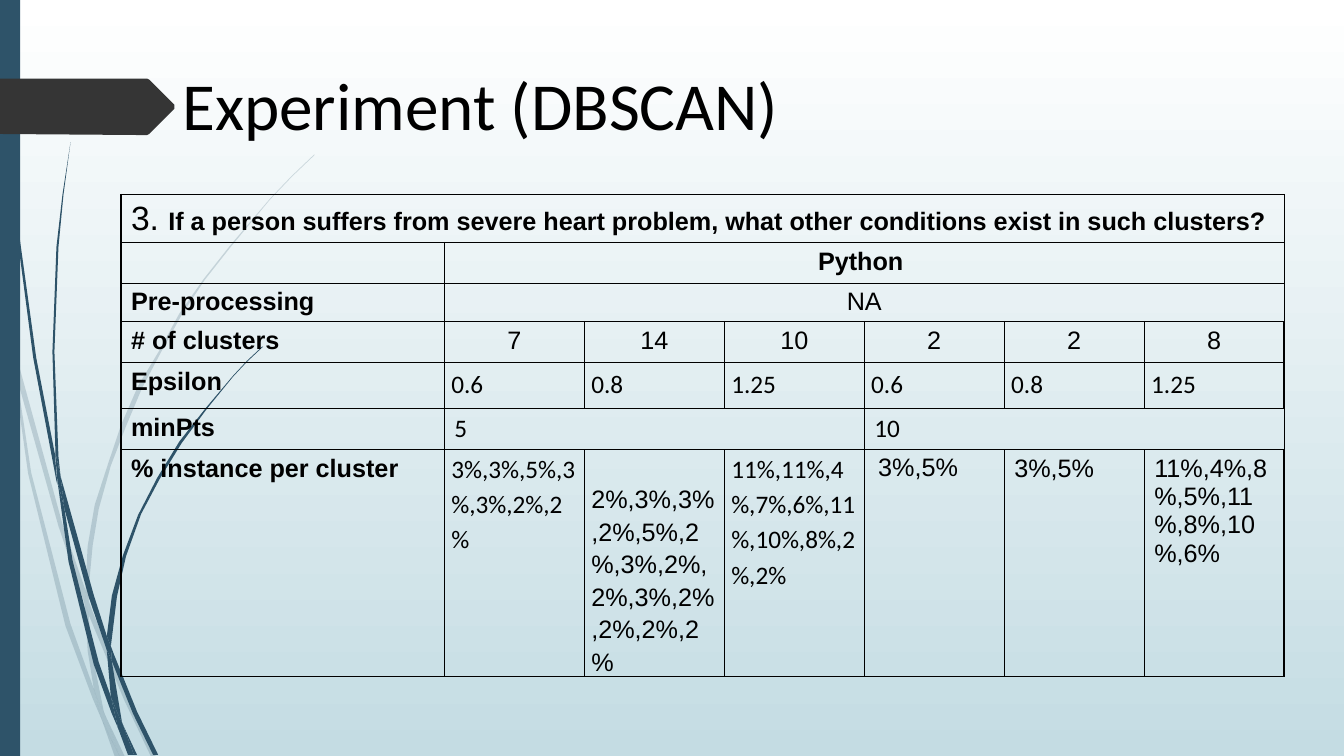
from pptx import Presentation
from pptx.dml.color import RGBColor
from pptx.enum.shapes import MSO_SHAPE
from pptx.enum.text import MSO_ANCHOR, MSO_AUTO_SIZE, PP_ALIGN
from pptx.oxml.ns import qn
from pptx.util import Pt
from lxml.etree import SubElement

COLORS = {"sky": "FFFFFF", "mist": "C4DCE3", "navy": "2E5369",
          "arrow": "353535", "ink": "000000"}
UNIT = Pt(0.72)  # outline grid step

# Outlines on the grid: pale strands behind, solid strands in front
PALE = [
    "11,350 9,322 0,282 0,299 10,344",
    "58,522 84,599 85,586 62,520 14,345 17,376",
    "92,607 88,596 88,610 123,694 150,751 155,751 127,692",
    "119,751 124,751 105,711",
    "93,683 70,619 31,469 17,376 11,350 28,470 65,621 92,693 101,714 99,707",
    "84,599 87,646 93,683 96,692 105,711 103,706 91,646 88,610 88,608",
    "88,584 92,541 98,505 110,462 125,423 141,385 160,349 180,313 203,278 229,245 "
    "268,198 290,175 312,154 312,153 289,175 268,197 228,244 202,277 178,311 "
    "158,348 137,383 120,422 107,461 94,501 87,542 85,584 85,586 88,596",
    "101,714 114,751 119,751",
    "88,608 88,610 88,596 85,586 84,599",
    "96,692 93,683 99,707 101,714 119,751 105,711",
]
SOLID = [
    "7,110 17,233 33,355 56,477 57,481 55,457 55,453 36,355 19,232 8,109 5,48 4,0 "
    "3,0 4,48",
    "88,592 106,645 106,633 106,631 93,590 60,472 64,505",
    "113,649 110,641 111,656 132,708 152,749 157,749 136,706",
    "110,691 98,657 72,556 64,505 57,477 68,557 93,659 111,708 117,722 116,717",
    "60,472 58,453 54,349 58,245 63,193 70,141 62,193 56,245 52,349 55,449",
    "133,749 136,749 122,719",
    "57,477 64,505 60,472 55,449 55,453",
    "111,633 116,592 125,552 140,510 158,476 180,440 205,406 231,374 245,359 261,344 "
    "260,344 245,358 231,373 204,405 178,438 156,474 137,511 122,551 111,591 "
    "106,631 110,641",
    "117,722 127,749 131,749",
    "106,645 110,691 116,706 122,719 121,716 111,656 109,651",
    "106,645 109,651 111,656 110,641 106,631 106,633",
    "116,706 110,691 116,717 117,722 130,749 133,749 122,719",
]
ARROW = "173,108 148,133 146,134 136,134 0,133 0,78 136,78 146,78 148,79 173,104"

# Cell looks: font, paragraph and margins (sides, top and bottom)
BOLD = {"name": "Arial", "bold": True}
PLAIN = {"name": "Arial", "bold": False}
CAL = {"name": "Calibri", "bold": False}
LEFT, MID = {"alignment": PP_ALIGN.LEFT}, {"alignment": PP_ALIGN.CENTER}
LOOSE = {**LEFT, "line_spacing": 1.15}
WIDE, EVEN, FLAT = (7.2, 3.6), (5, 5), (5, 0)
HEAD = (BOLD, LEFT, WIDE)
NUM = (PLAIN, MID, WIDE)
EPS = (CAL, LEFT, EVEN)
PTS = (CAL, LEFT, WIDE)
LIST = (PLAIN, LOOSE, FLAT)
CLIST = (CAL, LOOSE, FLAT)
TAIL = (PLAIN, LEFT, WIDE)

# Each cell: text, look, columns spanned
ROWS = [
    [("If a person suffers from severe heart problem, "
      "what other conditions exist in such clusters?", HEAD, 7)],
    [("", HEAD, 1), ("Python ", (BOLD, MID, WIDE), 6)],
    [("Pre-processing", HEAD, 1), ("NA", NUM, 6)],
    [("# of clusters", HEAD, 1)] + [(n, NUM, 1) for n in "7 14 10 2 2 8".split()],
    [("Epsilon", HEAD, 1)] + [(e, EPS, 1) for e in ("0.6", "0.8", "1.25") * 2],
    [("minPts", HEAD, 1), ("5", PTS, 3), ("10", PTS, 3)],
    [("% instance per cluster", HEAD, 1),
     ("3%,3%,5%,3%,3%,2%,2%", CLIST, 1),
     (" 2%,3%,3%,2%,5%,2%,3%,2%,2%,3%,2%,2%,2%,2%", LIST, 1),
     ("11%,11%,4%,7%,6%,11%,10%,8%,2%,2%", CLIST, 1),
     (" 3%,5%", LIST, 1), ("3%,5%", TAIL, 1),
     ("11%,4%,8%,5%,11%,8%,10%,6%", TAIL, 1)],
]
WIDTHS = [231] + [100] * 6
HEIGHTS = [33.6, 28, 27, 29.3, 33, 28.6, 141]


def rgb(key):
    return RGBColor.from_string(COLORS[key])


def put(obj, look):
    for key, val in look.items():
        setattr(obj, key, val)


class Deck:
    def __init__(self):
        self.prs = Presentation()
        put(self.prs, {"slide_width": Pt(960), "slide_height": Pt(540)})
        self.slide = self.prs.slides.add_slide(self.prs.slide_layouts[5])
        self.shapes = self.slide.shapes

    def back(self, top, end):
        fill = self.slide.background.fill
        fill.gradient()
        fill.gradient_angle = 270
        for stop, key, pos in zip(fill.gradient_stops, (top, end), (0, 1)):
            stop.color.rgb = rgb(key)
            stop.position = pos

    def paint(self, shape, key, alpha=100):
        shape.shadow.inherit = False
        shape.fill.solid()
        shape.fill.fore_color.rgb = rgb(key)
        shape.line.fill.background()
        if alpha < 100:
            tint = next(shape.element.spPr.iter(qn("a:srgbClr")))
            SubElement(tint, qn("a:alpha"), val=str(alpha * 1000))

    def free(self, text, key, alpha=100):
        dots = [tuple(map(int, dot.split(","))) for dot in text.split()]
        pen = self.shapes.build_freeform(*dots[0], scale=UNIT)
        pen.add_line_segments(dots[1:], close=True)
        self.paint(pen.convert_to_shape(), key, alpha)

    def bar(self, x, y, w, h, key):
        box = self.shapes.add_shape(MSO_SHAPE.RECTANGLE, Pt(x), Pt(y), Pt(w), Pt(h))
        self.paint(box, key)

    def run(self, para, text, look, size):
        run = para.add_run()
        run.text = text
        put(run.font, {**look, "size": Pt(size)})
        run.font.color.rgb = rgb("ink")

    def title(self, text, x, y, w, h):
        box = self.shapes.title
        put(box, {"left": Pt(x), "top": Pt(y), "width": Pt(w), "height": Pt(h)})
        frame = box.text_frame
        put(frame, {"vertical_anchor": MSO_ANCHOR.TOP, "word_wrap": True,
                    "auto_size": MSO_AUTO_SIZE.NONE})
        put(frame, {f"margin_{side}": Pt(7.2)
                    for side in ("left", "right", "top", "bottom")})
        put(frame.paragraphs[0], LEFT)
        self.run(frame.paragraphs[0], text, CAL, 48)
        self.shapes.element.append(box.element)  # bring to front

    def edge(self, cell, sides):
        props = cell._tc.get_or_add_tcPr()
        for side, width in zip("LRTB", sides):
            line = SubElement(props, qn(f"a:ln{side}"), w=str(Pt(width)))
            fill = SubElement(line, qn("a:solidFill"))
            SubElement(fill, qn("a:srgbClr"), val=COLORS["ink"])
        cell.fill.background()

    def cell(self, cell, text, look, lead=""):
        font, para, (side, end) = look
        put(cell, {"margin_left": Pt(side), "margin_right": Pt(side),
                   "margin_top": Pt(end), "margin_bottom": Pt(end)})
        line = cell.text_frame.paragraphs[0]
        put(line, para)
        if lead:
            self.run(line, lead, PLAIN, 24)
        if text:
            self.run(line, text, font, 18)

    def table(self, x, y, rows, widths, heights):
        high, wide = len(heights), len(widths)
        grid = self.shapes.add_table(high, wide, Pt(x), Pt(y), Pt(sum(widths)),
                                     Pt(sum(heights))).table
        put(grid, {"first_row": False, "horz_banding": False})
        for col, width in zip(grid.columns, widths):
            col.width = Pt(width)
        for r, row in enumerate(rows):
            grid.rows[r].height = Pt(heights[r])
            for c in range(wide):
                rims = (c == 0, c == wide - 1, r == 0, r == high - 1)
                self.edge(grid.cell(r, c), [1.25 if rim else 0.75 for rim in rims])
            c = 0
            for text, look, span in row:
                if span > 1:
                    grid.cell(r, c).merge(grid.cell(r, c + span - 1))
                self.cell(grid.cell(r, c), text, look, "" if r else "3. ")
                c += span


def main():
    deck = Deck()
    # Backdrop
    deck.back("sky", "mist")
    for group, alpha in ((PALE, 20), (SOLID, 100)):
        for strand in group:
            deck.free(strand, "navy", alpha)
    deck.bar(0, 0, 14.4, 540, "navy")
    deck.free(ARROW, "arrow")
    # Content
    deck.title("Experiment (DBSCAN)", 123, 38, 702, 101)
    deck.table(86.4, 139, ROWS, WIDTHS, HEIGHTS)
    deck.prs.save("out.pptx")


if __name__ == "__main__":
    main()
